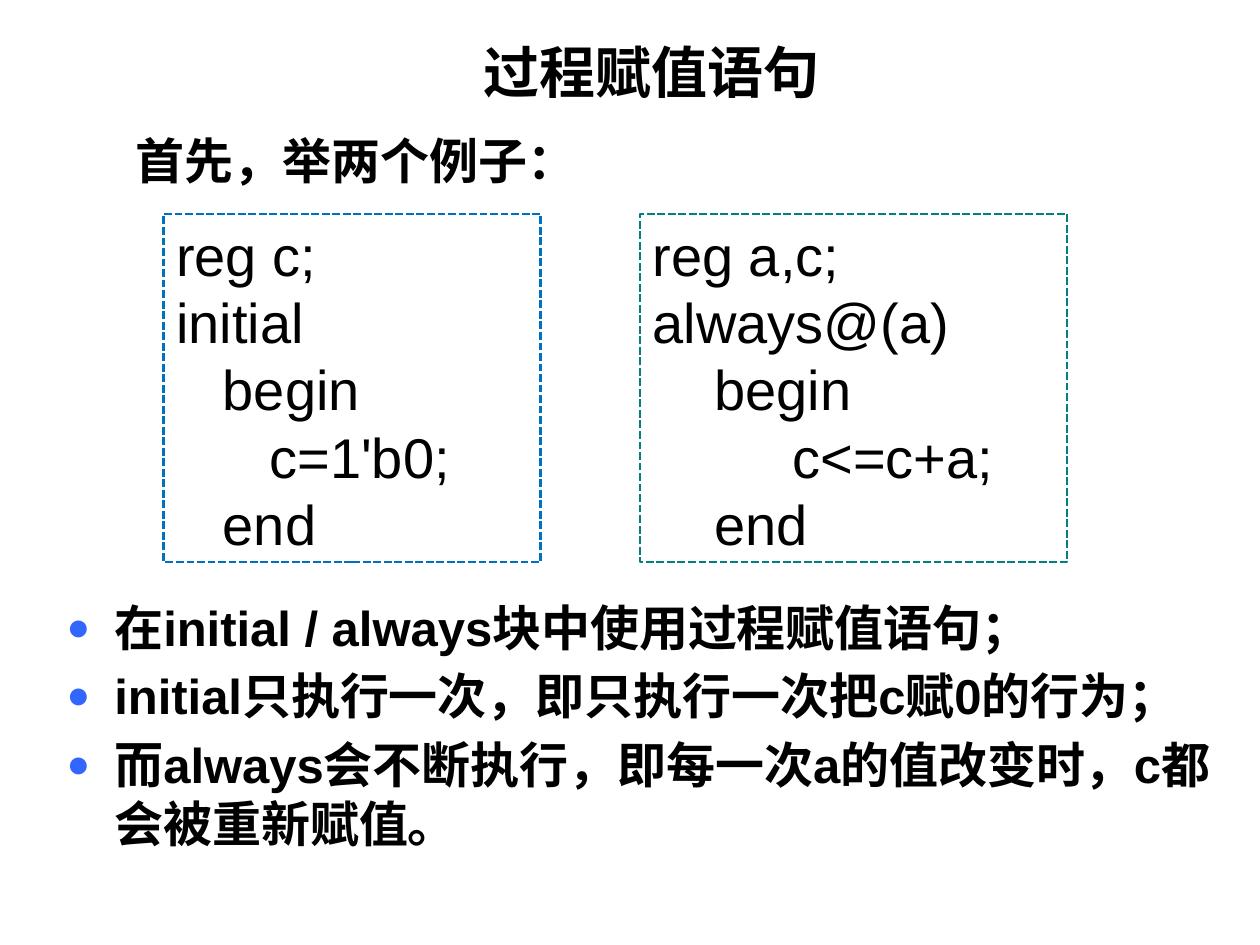
from lxml.etree import SubElement
from pptx import Presentation
from pptx.dml.color import RGBColor
from pptx.enum.dml import MSO_LINE
from pptx.enum.shapes import MSO_SHAPE
from pptx.enum.text import MSO_ANCHOR, PP_ALIGN
from pptx.oxml.ns import qn
from pptx.util import Inches, Pt

COLORS = {
    "text": "000000",
    "bullet": "3366FF",
    "initial": "0070C0",
    "always": "008080",
}
CJK_FONT = "Noto Sans CJK SC"
HANGING = 0.38


def add_paragraph(frame, text, size=28, font="Arial", bold=True,
                  left=0, first=0, before=0, bullet=False):
    """Write into the frame's first paragraph if it is empty, else add one."""
    paragraph = frame.paragraphs[0]
    if paragraph.runs:
        paragraph = frame.add_paragraph()
    paragraph.alignment = PP_ALIGN.LEFT
    paragraph.line_spacing = Pt(size * 1.2)
    paragraph.space_before = Pt(before)
    run = paragraph.add_run()
    run.text = text
    run.font.size = Pt(size)
    run.font.bold = bold
    run.font.name = font
    run.font.color.rgb = RGBColor.from_string(COLORS["text"])
    SubElement(run.font._element, qn("a:ea"), typeface=CJK_FONT)

    properties = paragraph._p.get_or_add_pPr()
    properties.set("marL", str(Inches(left)))
    properties.set("indent", str(Inches(first)))
    if bullet:
        color = SubElement(properties, qn("a:buClr"))
        SubElement(color, qn("a:srgbClr"), val=COLORS["bullet"])
        SubElement(properties, qn("a:buSzPct"), val="80000")
        SubElement(properties, qn("a:buFont"), typeface="Arial")
        SubElement(properties, qn("a:buChar"), char="●")


def add_frame(slide, box, wrap=True, anchor=MSO_ANCHOR.TOP):
    frame = slide.shapes.add_textbox(*map(Inches, box)).text_frame
    frame.word_wrap = wrap
    frame.vertical_anchor = anchor
    return frame


def add_title(slide, box, text):
    frame = add_frame(slide, box, anchor=MSO_ANCHOR.MIDDLE)
    add_paragraph(frame, text, size=32, font="Times New Roman")


def add_lead_in(slide, box, text):
    add_paragraph(add_frame(slide, box, wrap=False), text, font=CJK_FONT)


def add_code_box(slide, box, color, lines):
    """Draw a dashed box of code; each line is (indent in inches, text)."""
    code_box = slide.shapes.add_shape(MSO_SHAPE.RECTANGLE, *map(Inches, box))
    code_box.shadow.inherit = False
    code_box.fill.background()
    code_box.line.color.rgb = RGBColor.from_string(color)
    code_box.line.width = Pt(1.5)
    code_box.line.dash_style = MSO_LINE.SQUARE_DOT
    frame = code_box.text_frame
    frame.word_wrap = True
    frame.vertical_anchor = MSO_ANCHOR.TOP
    for indent, text in lines:
        add_paragraph(frame, text, size=32, bold=False, left=indent)


def add_conclusions(slide, box, conclusions):
    frame = add_frame(slide, box)
    for text in conclusions:
        add_paragraph(frame, text, left=HANGING, first=-HANGING,
                      before=5.6, bullet=True)


def main():
    presentation = Presentation()
    presentation.slide_width = Inches(10)
    presentation.slide_height = Inches(7.5)
    slide = presentation.slides.add_slide(presentation.slide_layouts[6])

    add_conclusions(slide, (0.43, 4.69, 9.33, 2.45), [
        "在initial / always块中使用过程赋值语句；",
        "initial只执行一次，即只执行一次把c赋0的行为；",
        "而always会不断执行，即每一次a的值改变时，c都会被重新赋值。",
    ])
    add_title(slide, (3.74, 0.14, 3.4, 0.85), "过程赋值语句")
    add_code_box(slide, (1.3, 1.7, 2.99, 2.76), COLORS["initial"], [
        (0, "reg c;"),
        (0, "initial"),
        (0.37, "begin"),
        (0.74, "c=1'b0;"),
        (0.37, "end"),
    ])
    add_code_box(slide, (5.08, 1.7, 3.39, 2.76), COLORS["always"], [
        (0, "reg a,c;"),
        (0, "always@(a)"),
        (0.49, "begin"),
        (1.11, "c<=c+a;"),
        (0.49, "end"),
    ])
    add_lead_in(slide, (0.98, 0.99, 3.95, 0.57), "首先，举两个例子：")

    presentation.save("out.pptx")


if __name__ == "__main__":
    main()
